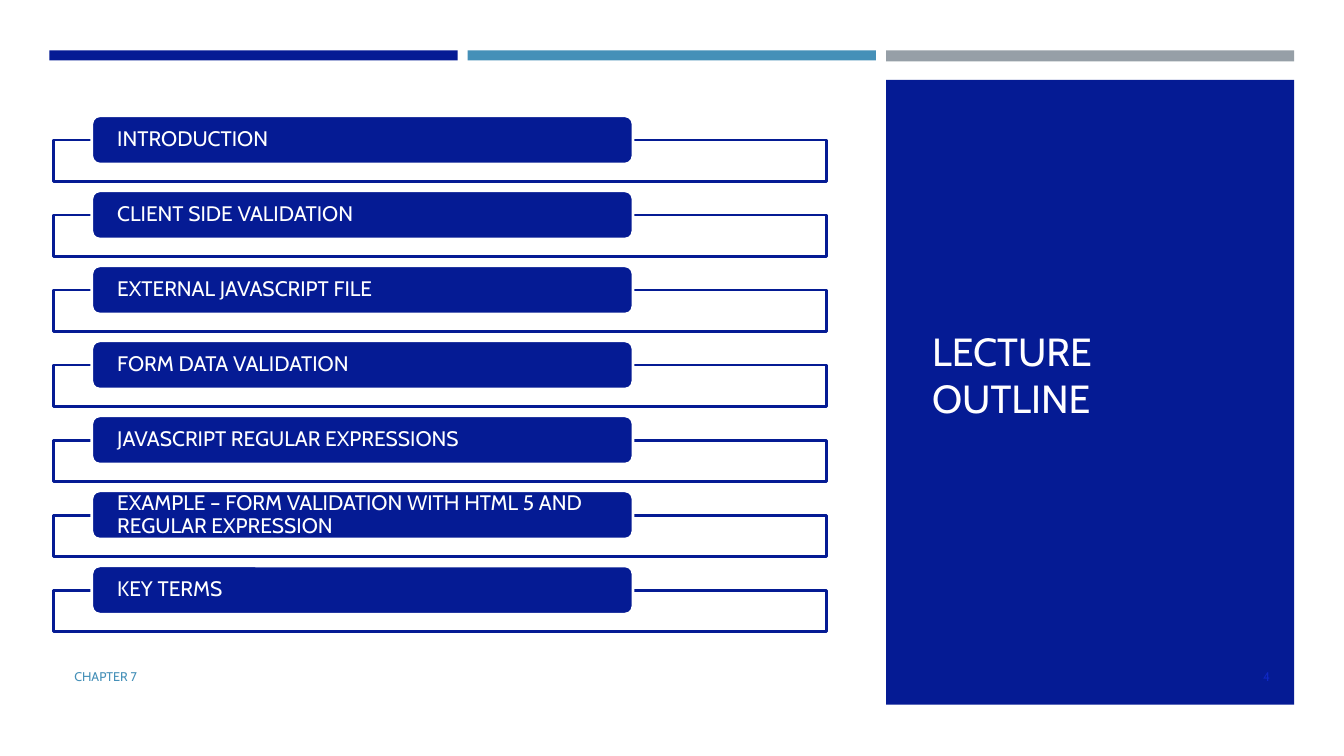
import pptx
import pptx.util
import pptx.dml.color
import pptx.enum.shapes
import pptx.enum.text
from dataclasses import dataclass

TITLE = "LECTURE OUTLINE"
TOPICS = [
    "INTRODUCTION",
    "CLIENT SIDE VALIDATION",
    "EXTERNAL JAVASCRIPT FILE",
    "FORM DATA VALIDATION",
    "JAVASCRIPT REGULAR EXPRESSIONS",
    "EXAMPLE – FORM VALIDATION WITH HTML 5 AND REGULAR EXPRESSION",
    "KEY TERMS",
]
FOOTER = "CHAPTER 7"
PAGE_NUMBER = "4"


@dataclass(frozen=True)
class Theme:
    font: str = "Cabin"
    navy: str = "051B94"
    blue: str = "4590B8"
    gray: str = "969FA7"
    white: str = "FFFFFF"
    title_white: str = "FFFEFF"
    number_blue: str = "0F28C4"
    title_size: int = 28
    topic_size: int = 15
    footer_size: int = 9


THEME = Theme()
Pt = pptx.util.Pt
SHAPES = pptx.enum.shapes.MSO_SHAPE
ALIGN = pptx.enum.text.PP_ALIGN

COLUMN_LEFT, COLUMN_WIDTH, COLUMN_STEP = 35.3, 291.6, 298.8
STRIPES = [(THEME.navy, 7.2), (THEME.blue, 7.2), (THEME.gray, 7.9)]
STRIPE_TOP = 36
PANEL_TOP, PANEL_HEIGHT = 57, 446.4
FIRST_FRAME_TOP, TOPIC_STEP = 100.2, 53.58
FRAME_LEFT, FRAME_WIDTH, FRAME_HEIGHT = 38.2, 552.2, 29.6
LABEL_LEFT, LABEL_WIDTH, LABEL_HEIGHT = 65.6, 386.6, 34.5
LABEL_RISE = 17.5


def rgb(value):
    return pptx.dml.color.RGBColor.from_string(value)


def add_block(page, kind, bounds, fill, line=None, line_width=0):
    block = page.shapes.add_shape(kind, *map(Pt, bounds))
    block.shadow.inherit = False
    block.fill.solid()
    block.fill.fore_color.rgb = rgb(fill)
    if line:
        block.line.color.rgb = rgb(line)
        block.line.width = Pt(line_width)
    else:
        block.line.fill.background()
    return block


def write(box, text, size, color, side_inset=7.2, edge_inset=3.6, align=ALIGN.LEFT):
    frame = box.text_frame
    frame.word_wrap = True
    frame.vertical_anchor = pptx.enum.text.MSO_ANCHOR.MIDDLE
    frame.margin_left = frame.margin_right = Pt(side_inset)
    frame.margin_top = frame.margin_bottom = Pt(edge_inset)
    para = frame.paragraphs[0]
    para.text = text
    para.alignment = align
    para.font.name = THEME.font
    para.font.size = Pt(size)
    para.font.color.rgb = rgb(color)
    return para


def add_text(page, bounds, *content, **options):
    return write(page.shapes.add_textbox(*map(Pt, bounds)), *content, **options)


def add_topic(page, index, topic):
    top = FIRST_FRAME_TOP + index * TOPIC_STEP
    add_block(page, SHAPES.RECTANGLE, (FRAME_LEFT, top, FRAME_WIDTH, FRAME_HEIGHT),
              THEME.white, THEME.navy, 1.75)
    label = add_block(page, SHAPES.ROUNDED_RECTANGLE,
                      (LABEL_LEFT, top - LABEL_RISE, LABEL_WIDTH, LABEL_HEIGHT),
                      THEME.navy, THEME.white, 2)
    para = write(label, topic, THEME.topic_size, THEME.white, side_inset=16.5, edge_inset=0)
    para.line_spacing = 0.9


def main():
    deck = pptx.Presentation()
    deck.slide_width, deck.slide_height = Pt(960), Pt(540)
    page = deck.slides.add_slide(deck.slide_layouts[6])

    for index, (color, height) in enumerate(STRIPES):
        left = COLUMN_LEFT + index * COLUMN_STEP
        add_block(page, SHAPES.RECTANGLE, (left, STRIPE_TOP, COLUMN_WIDTH, height), color)

    panel_left = COLUMN_LEFT + 2 * COLUMN_STEP
    add_block(page, SHAPES.RECTANGLE,
              (panel_left, PANEL_TOP, COLUMN_WIDTH, PANEL_HEIGHT), THEME.navy)
    add_text(page, (658.8, 82.1, 240.5, 370.8), TITLE, THEME.title_size, THEME.title_white)

    for index, topic in enumerate(TOPICS):
        add_topic(page, index, topic)

    add_text(page, (46, 468.7, 544.4, 28.8), FOOTER, THEME.footer_size, THEME.blue)
    add_text(page, (842, 468.7, 72.4, 28.8), PAGE_NUMBER, THEME.footer_size,
             THEME.number_blue, align=ALIGN.RIGHT)
    deck.save("out.pptx")


if __name__ == "__main__":
    main()
